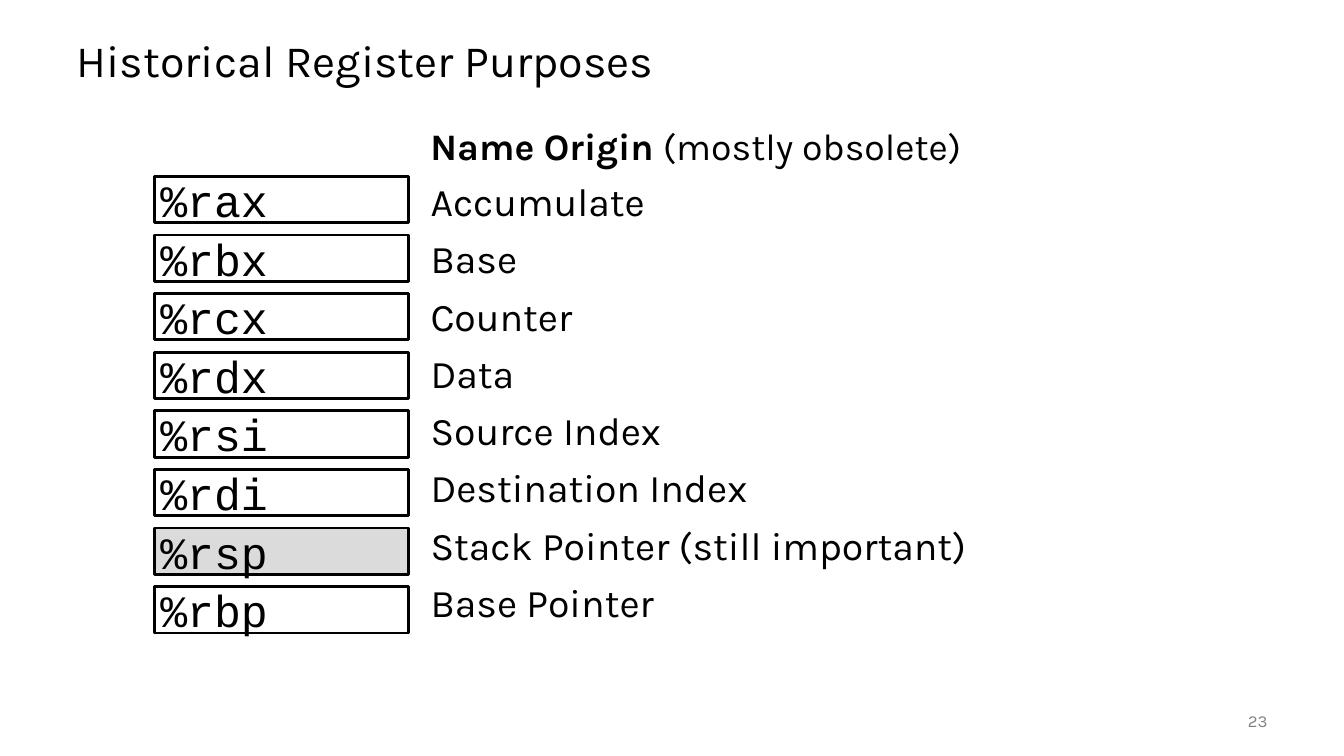
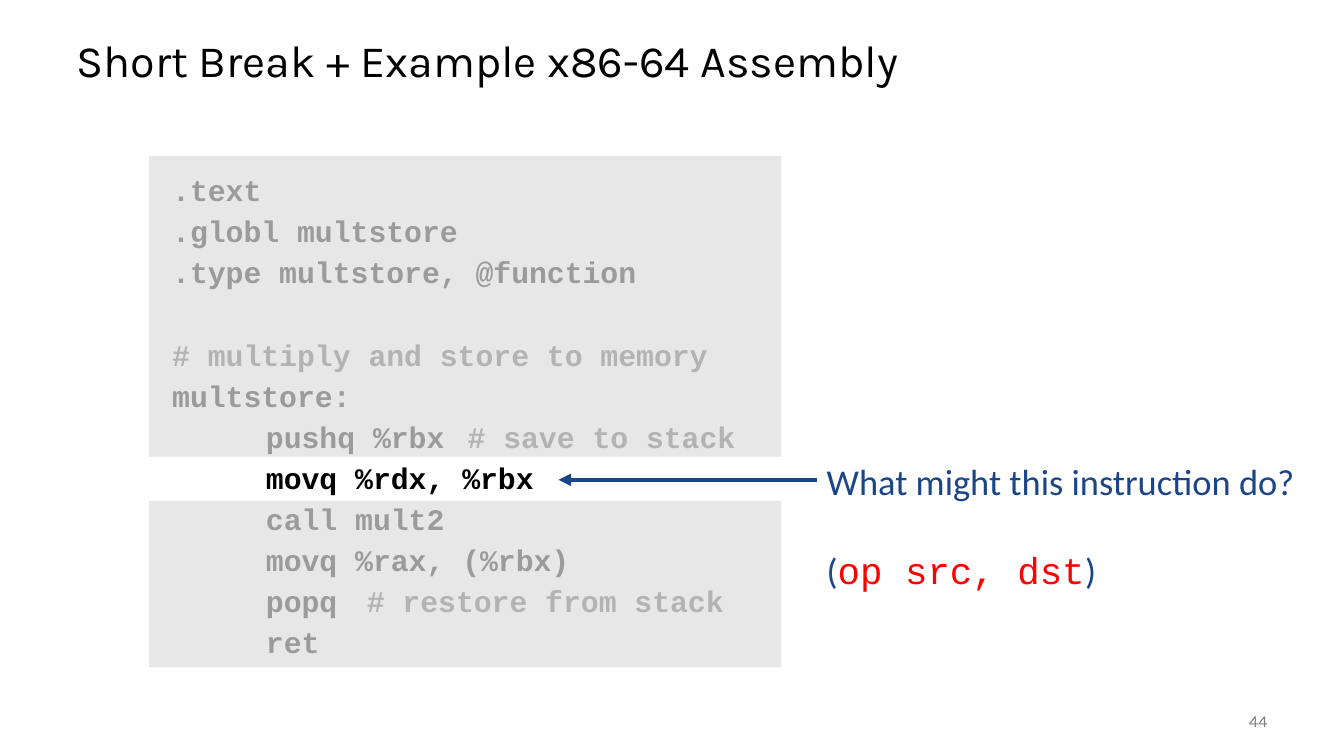
import lxml.etree
import pptx
import pptx.dml.color
import pptx.enum.shapes
import pptx.enum.text
import pptx.oxml
import pptx.oxml.ns
import pptx.util

Inches = pptx.util.Inches
Pt = pptx.util.Pt
ALIGN = pptx.enum.text.PP_ALIGN
ANCHOR = pptx.enum.text.MSO_ANCHOR
qn = pptx.oxml.ns.qn

# Shared style
SANS, MONO, NOTE = "Karla", "Courier New", "Calibri"
BLACK, GRAY, COMMENT = "000000", "808080", "525252"
HIGHLIGHT, VEIL, BLUE, RED = "DBDBDB", "DDDDDD", "1C4587", "FF0000"

# Content
REGISTERS = [
    ("%rax", "Accumulate"), ("%rbx", "Base"), ("%rcx", "Counter"),
    ("%rdx", "Data"), ("%rsi", "Source Index"), ("%rdi", "Destination Index"),
    ("%rsp", "Stack Pointer (still important)"), ("%rbp", "Base Pointer"),
]
DIRECTIVES = [".text", ".globl multstore", ".type multstore, @function"]
LABELS = ["# multiply and store to memory", "multstore:"]
INSTRUCTIONS = ["pushq %rbx\t# save to stack", "movq %rdx, %rbx", "call mult2",
                "movq %rax, (%rbx)", "popq\t# restore from stack", "ret"]


def rgb(color):
    return pptx.dml.color.RGBColor.from_string(color)


def place(shape, x, y, w, h):
    shape.left, shape.top = Inches(x), Inches(y)
    shape.width, shape.height = Inches(w), Inches(h)


def style(r, size, color=BLACK, font=SANS, bold=False):
    r.font.size, r.font.name, r.font.bold = Pt(size), font, bold
    r.font.color.rgb = rgb(color)


def add_run(p, text, *look, **more):
    r = p.add_run()
    r.text = text
    style(r, *look, **more)


def set_insets(tf, inset):
    tf.margin_left = tf.margin_right = Inches(inset)
    tf.margin_top = tf.margin_bottom = Inches(inset)


def add_text_box(s, x, y, w, h, inset=None):
    box = s.shapes.add_textbox(Inches(x), Inches(y), Inches(w), Inches(h))
    tf = box.text_frame
    tf.word_wrap = True
    if inset is not None:
        set_insets(tf, inset)
    return tf


def add_rect(s, x, y, w, h, fill=None, line=None):
    sp = s.shapes.add_shape(pptx.enum.shapes.MSO_SHAPE.RECTANGLE,
                            Inches(x), Inches(y), Inches(w), Inches(h))
    sp.shadow.inherit = False
    if fill:
        sp.fill.solid()
        sp.fill.fore_color.rgb = rgb(fill)
    else:
        sp.fill.background()
    if line:
        sp.line.color.rgb = rgb(line)
        sp.line.width = Pt(2)
    else:
        sp.line.fill.background()
    return sp


def add_register(s, x, y, name, fill):
    tf = add_rect(s, x, y, 2.52, 0.46, fill, BLACK).text_frame
    set_insets(tf, 0.06)
    tf.vertical_anchor = ANCHOR.MIDDLE
    tf.text = name
    tf.paragraphs[0].alignment = ALIGN.LEFT
    style(tf.paragraphs[0].runs[0], 32, font=MONO)


def add_veil(s, y, h):
    sp = add_rect(s, 1.48, y, 6.27, h, VEIL)
    color = sp.fill._xPr.find(qn("a:solidFill"))[0]
    lxml.etree.SubElement(color, qn("a:alpha")).set("val", "70000")


def add_arrow(s, x1, y1, x2, y2):
    cn = s.shapes.add_connector(pptx.enum.shapes.MSO_CONNECTOR.STRAIGHT,
                                Inches(x1), Inches(y1), Inches(x2), Inches(y2))
    cn.line.color.rgb = rgb(BLUE)
    cn.line.width = Pt(3)
    lxml.etree.SubElement(cn.line._get_or_add_ln(), qn("a:tailEnd")).set("type", "triangle")
    lxml.etree.SubElement(cn._element.spPr, qn("a:effectLst"))


def add_list(s, items):
    body = s.placeholders[1]
    place(body, 4.17, 1.8, 6.5, 4.66)
    tf = body.text_frame
    tf.auto_size = pptx.enum.text.MSO_AUTO_SIZE.NONE
    tf.text = "\n".join(items)
    for i, p in enumerate(tf.paragraphs):
        pPr = p._p.get_or_add_pPr()
        pPr.set("marL", "0")
        pPr.set("indent", "0")
        lxml.etree.SubElement(pPr, qn("a:buNone"))
        p.line_spacing = 0.8
        p.space_before = Pt(14 if i else 0)
        style(p.runs[0], 28)


def add_code_line(tf, text, indent, gap=0):
    """Add one line of code, with its comment in a lighter colour."""
    p = tf.paragraphs[0] if not tf.text else tf.add_paragraph()
    p._p.get_or_add_pPr().set("marL", str(Inches(indent)))
    p.line_spacing = 1.15
    p.space_before = Pt(gap)
    code, mark, comment = text.partition("#")
    if code:
        add_run(p, code, 21.3, font=MONO, bold=True)
    if mark:
        add_run(p, mark + comment, 21.3, COMMENT, MONO, True)


def new_slide(prs, layout, title, number):
    s = prs.slides.add_slide(prs.slide_layouts[layout])
    place(s.shapes.title, 0.66, 0.25, 12, 0.75)
    tf = s.shapes.title.text_frame
    tf.text = title
    tf.vertical_anchor = ANCHOR.MIDDLE
    p = tf.paragraphs[0]
    p.alignment, p.line_spacing = ALIGN.LEFT, 0.9
    style(p.runs[0], 32)

    tf = add_text_box(s, 11.67, 6.95, 1, 0.4)
    tf.text = number
    tf.vertical_anchor = ANCHOR.MIDDLE
    tf.paragraphs[0].alignment = ALIGN.RIGHT
    style(tf.paragraphs[0].runs[0], 12, GRAY)
    return s


def registers_slide(prs):
    s = new_slide(prs, 1, "Historical Register Purposes", "23")
    add_list(s, [purpose for _, purpose in REGISTERS])
    for i, (name, _) in enumerate(REGISTERS):
        add_register(s, 1.53, 1.75 + i * 4.07 / 7, name,
                     HIGHLIGHT if name == "%rsp" else None)
    p = add_text_box(s, 4.17, 1.17, 5.71, 0.55).paragraphs[0]
    add_run(p, "Name Origin", 26.7, bold=True)
    add_run(p, " (mostly obsolete)", 26.7)


def assembly_slide(prs):
    s = new_slide(prs, 5, "Short Break + Example x86-64 Assembly", "44")

    # Code listing
    tf = add_text_box(s, 1.23, 1.55, 9.94, 5.5, 0.1)
    for text in DIRECTIVES:
        add_code_line(tf, text, 0.38)
    for i, text in enumerate(LABELS):
        add_code_line(tf, text, 0.38, 0 if i else 29.5)
    for text in INSTRUCTIONS:
        add_code_line(tf, text, 1.31)

    # Question about the highlighted instruction
    tf = add_text_box(s, 8.1, 4.46, 4.92, 1.03, 0.1)
    add_run(tf.paragraphs[0], "What might this instruction do?", 26, BLUE, NOTE)
    p = tf.add_paragraph()
    p.space_before = Pt(31.7)
    add_run(p, "(", 26, BLUE, NOTE)
    add_run(p, "op src, dst", 26.7, RED, MONO)
    add_run(p, ")", 26, BLUE, NOTE)

    # Veils over the other lines, and the arrow
    add_veil(s, 1.55, 2.98)
    add_veil(s, 4.97, 1.65)
    add_arrow(s, 8.1, 4.76, 5.54, 4.76)


def main():
    prs = pptx.Presentation()
    prs.slide_width, prs.slide_height = Inches(13.33), Inches(7.5)
    registers_slide(prs)
    assembly_slide(prs)
    prs.save("out.pptx")


if __name__ == "__main__":
    main()
